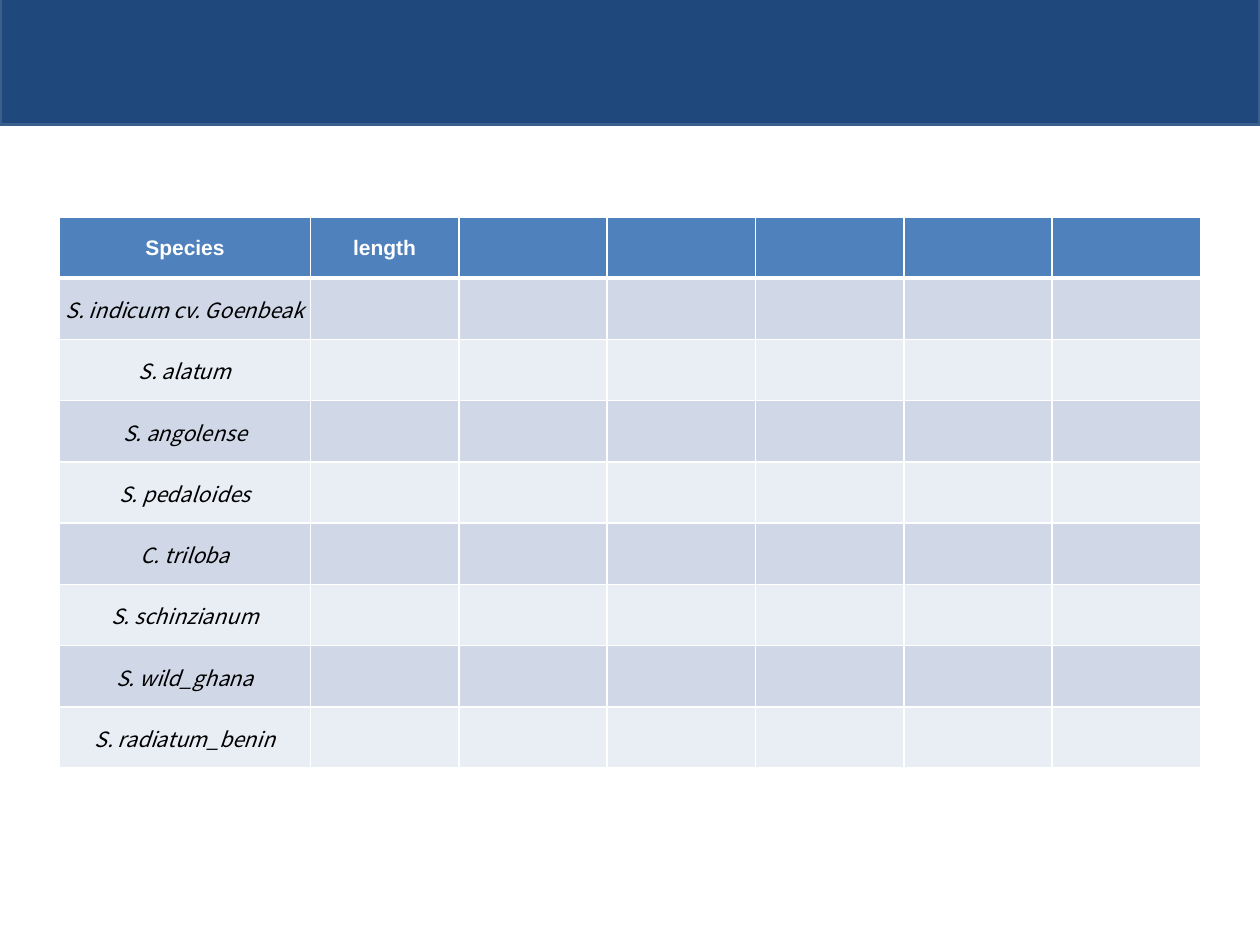
"""Build a slide with a blue banner and a table of species lengths."""
from lxml.etree import SubElement
from pptx import Presentation
from pptx.dml.color import RGBColor
from pptx.enum.shapes import MSO_SHAPE as Shape
from pptx.enum.text import MSO_ANCHOR as Anchor, PP_ALIGN as Align
from pptx.oxml.ns import qn
from pptx.util import Cm, Pt


def paint(color_format, color):
    color_format.rgb = RGBColor.from_string(color)


def add_border(cell, side, width):
    properties = cell._tc.get_or_add_tcPr()
    line = SubElement(properties, qn(f"a:ln{side}"), w=str(Pt(width)))
    fill = SubElement(line, qn("a:solidFill"))
    SubElement(fill, qn("a:srgbClr"), val="FFFFFF")


SPECIES = [
    "S. indicum cv. Goenbeak", "S. alatum", "S. angolense", "S. pedaloides",
    "C. triloba", "S. schinzianum", "S. wild_ghana", "S. radiatum_benin",
]
ROWS = [["Species", "length"]] + [[name] for name in SPECIES]
COLUMN_WIDTHS = [Cm(5.06)] + [Cm(2.99)] * 6
ROW_HEIGHT = Cm(1.235)
BAND_FILLS = ["E9EDF4", "D0D8E8"]
HEADER_FONT = {"name": "Arial", "size": Pt(12), "bold": True, "italic": False}
SPECIES_FONT = {"name": "Noto Sans CJK KR", "size": Pt(12), "bold": False, "italic": True}
CELL_FORMAT = {
    "vertical_anchor": Anchor.MIDDLE,
    "margin_left": Cm(0.03),
    "margin_top": Cm(0.03),
    "margin_right": Cm(0.03),
    "margin_bottom": Cm(0),
}

presentation = Presentation()
presentation.slide_width = Cm(25.4)
presentation.slide_height = Cm(19.05)
slide = presentation.slides.add_slide(presentation.slide_layouts[6])

table = slide.shapes.add_table(
    len(ROWS), len(COLUMN_WIDTHS), Cm(1.2), Cm(4.37),
    sum(COLUMN_WIDTHS), ROW_HEIGHT * len(ROWS),
).table
for column, width in zip(table.columns, COLUMN_WIDTHS):
    column.width = width

for row_index, texts in enumerate(ROWS):
    is_header = row_index == 0
    table.rows[row_index].height = ROW_HEIGHT
    for column_index in range(len(COLUMN_WIDTHS)):
        cell = table.cell(row_index, column_index)
        for name, value in CELL_FORMAT.items():
            setattr(cell, name, value)
        add_border(cell, "L", 1)
        add_border(cell, "R", 1)
        add_border(cell, "T", 3 if row_index == 1 else 1)
        add_border(cell, "B", 3 if is_header else 1)
        cell.fill.solid()
        paint(cell.fill.fore_color, "4F81BD" if is_header else BAND_FILLS[row_index % 2])
        if column_index < len(texts):
            paragraph = cell.text_frame.paragraphs[0]
            paragraph.alignment = Align.CENTER
            run = paragraph.add_run()
            run.text = texts[column_index]
            for name, value in (HEADER_FONT if is_header else SPECIES_FONT).items():
                setattr(run.font, name, value)
            paint(run.font.color, "FFFFFF" if is_header else "000000")

banner = slide.shapes.add_shape(Shape.RECTANGLE, Cm(0), Cm(-0.08), Cm(25.4), Cm(2.59))
banner.shadow.inherit = False
banner.fill.solid()
paint(banner.fill.fore_color, "1F497D")
paint(banner.line.color, "3A5F8C")
banner.line.width = Pt(2)

presentation.save("out.pptx")
